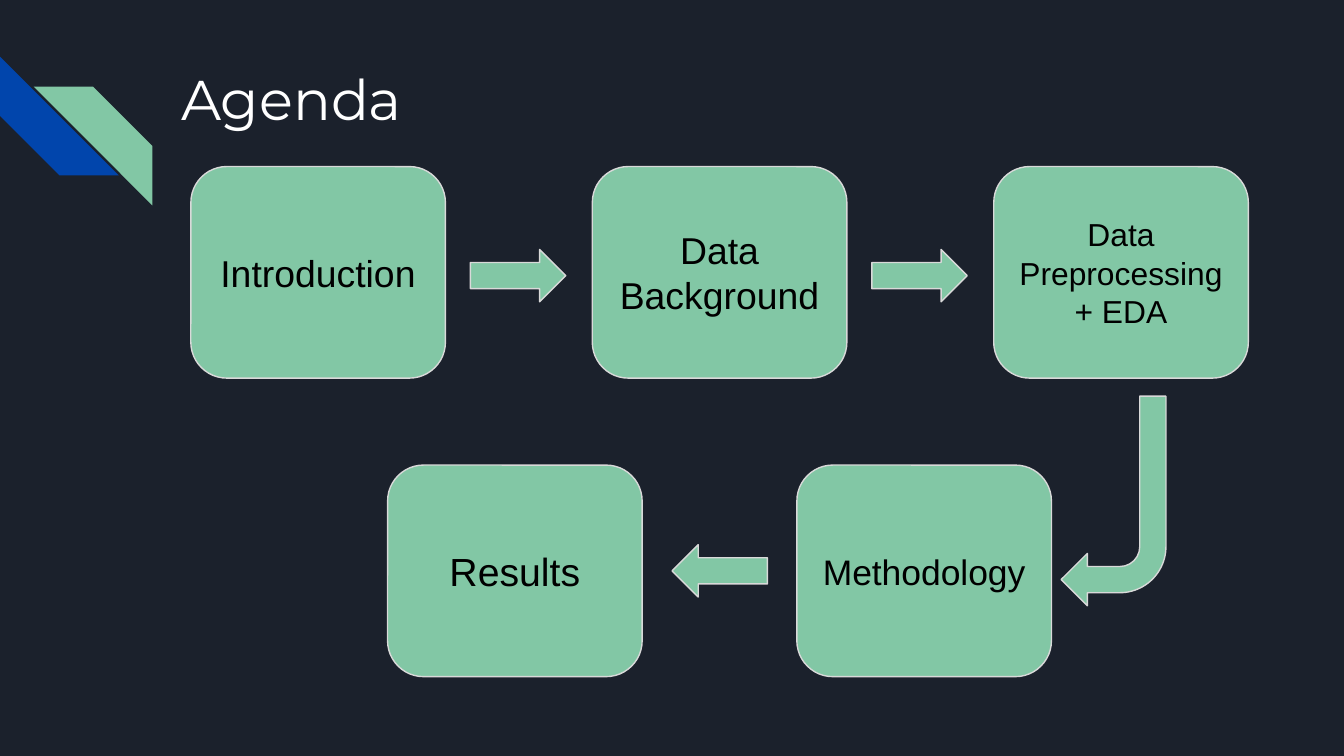
import dataclasses

import lxml.etree
import pptx
import pptx.dml.color
import pptx.enum.shapes
import pptx.enum.text
import pptx.util

KIND = pptx.enum.shapes.MSO_SHAPE
ALIGN = pptx.enum.text.PP_ALIGN
ANCHOR = pptx.enum.text.MSO_ANCHOR
HUES = {
    "night": "1B212C",
    "blue": "0145AC",
    "mint": "82C7A5",
    "edge": "D9D9D9",
    "white": "FFFFFF",
    "black": "000000",
}
WIDE = 10
HIGH = WIDE * 9 / 16
INSET = pptx.util.Inches(0.1)
FRAME = {
    "word_wrap": True,
    "margin_left": INSET,
    "margin_right": INSET,
    "margin_top": INSET,
    "margin_bottom": INSET,
}


@dataclasses.dataclass
class Area:
    left: float
    top: float
    wide: float
    high: float

    def spots(self) -> list[int]:
        pairs = ((self.left, WIDE), (self.top, HIGH), (self.wide, WIDE), (self.high, HIGH))
        return [pptx.util.Inches(share / 100 * size) for share, size in pairs]


@dataclasses.dataclass
class Step:
    label: str
    size: float


@dataclasses.dataclass
class Lane:
    left: float
    top: float
    pitch: float
    steps: list[Step]
    arrows: list[Area]
    turn: int


def tint(name: str) -> pptx.dml.color.RGBColor:
    return pptx.dml.color.RGBColor.from_string(HUES[name])


def apply(target: object, values: dict[str, object]) -> None:
    for name, value in values.items():
        setattr(target, name, value)


def draw(slide, kind, area: Area, hue: str = "mint", edge: bool = True,
         turn: int = 0, bends: tuple[float, ...] = ()):
    shape = slide.shapes.add_shape(kind, *area.spots())
    shape.shadow.inherit = False
    shape.rotation = turn
    shape.fill.solid()
    shape.fill.fore_color.rgb = tint(hue)
    if edge:
        shape.line.color.rgb = tint("edge")
        shape.line.width = pptx.util.Pt(0.75)
    else:
        shape.line.fill.background()
    for spot, bend in enumerate(bends):
        shape.adjustments[spot] = bend
    return shape


def write(shape, text: str, face: str, size: float, hue: str, align, anchor) -> None:
    frame = shape.text_frame
    apply(frame, FRAME | {"vertical_anchor": anchor})
    part = frame.paragraphs[0]
    part.alignment = align
    run = part.add_run()
    run.text = text
    apply(run.font, {"name": face, "size": pptx.util.Pt(size)})
    run.font.color.rgb = tint(hue)


def adorn(slide) -> None:
    draw(slide, KIND.DIAGONAL_STRIPE, Area(0, 7.47, 8.84, 15.72), "blue", False, 270, (0.5,))
    green = draw(slide, KIND.DIAGONAL_STRIPE, Area(2.5, 11.45, 8.84, 15.72), "mint", False, 0, (0.5,))
    form: lxml.etree.ElementBase = green._element.spPr.xfrm
    form.set("flipH", "1")


def chain(slide, lane: Lane) -> None:
    for spot, step in enumerate(lane.steps):
        area = Area(lane.left + spot * lane.pitch, lane.top, 18.94, 27.98)
        box = draw(slide, KIND.ROUNDED_RECTANGLE, area, bends=(0.17,))
        write(box, step.label, "Arial", step.size, "black", ALIGN.CENTER, ANCHOR.MIDDLE)
    for area in lane.arrows:
        draw(slide, KIND.RIGHT_ARROW, area, turn=lane.turn, bends=(0.5, 0.5))


def main() -> None:
    deck = pptx.Presentation()
    apply(deck, {"slide_width": pptx.util.Inches(WIDE), "slide_height": pptx.util.Inches(HIGH)})
    slide = deck.slides.add_slide(deck.slide_layouts[6])
    slide.background.fill.solid()
    slide.background.fill.fore_color.rgb = tint("night")

    adorn(slide)
    title = slide.shapes.add_textbox(*Area(12.5, 6.76, 77, 17.78).spots())
    write(title, "Agenda", "Montserrat", 30, "white", ALIGN.LEFT, ANCHOR.TOP)

    first = [Step("Introduction", 20), Step("Data Background", 20),
             Step("Data Preprocessing + EDA", 17)]
    last = [Step("Results", 21), Step("Methodology", 19)]
    pitch = 29.87
    ahead = [Area(35 + spot * pitch, 33, 7.1, 6.93) for spot in range(len(first) - 1)]
    chain(slide, Lane(14.2, 22.04, pitch, first, ahead, 0))
    chain(slide, Lane(28.84, 61.53, 30.45, last, [Area(50, 72.04, 7.1, 6.93)], 180))
    draw(slide, KIND.BENT_ARROW, Area(78.95, 52.4, 7.8, 27.73), turn=180,
         bends=(0.25, 0.25, 0.25, 0.44))
    deck.save("out.pptx")


if __name__ == "__main__":
    main()
